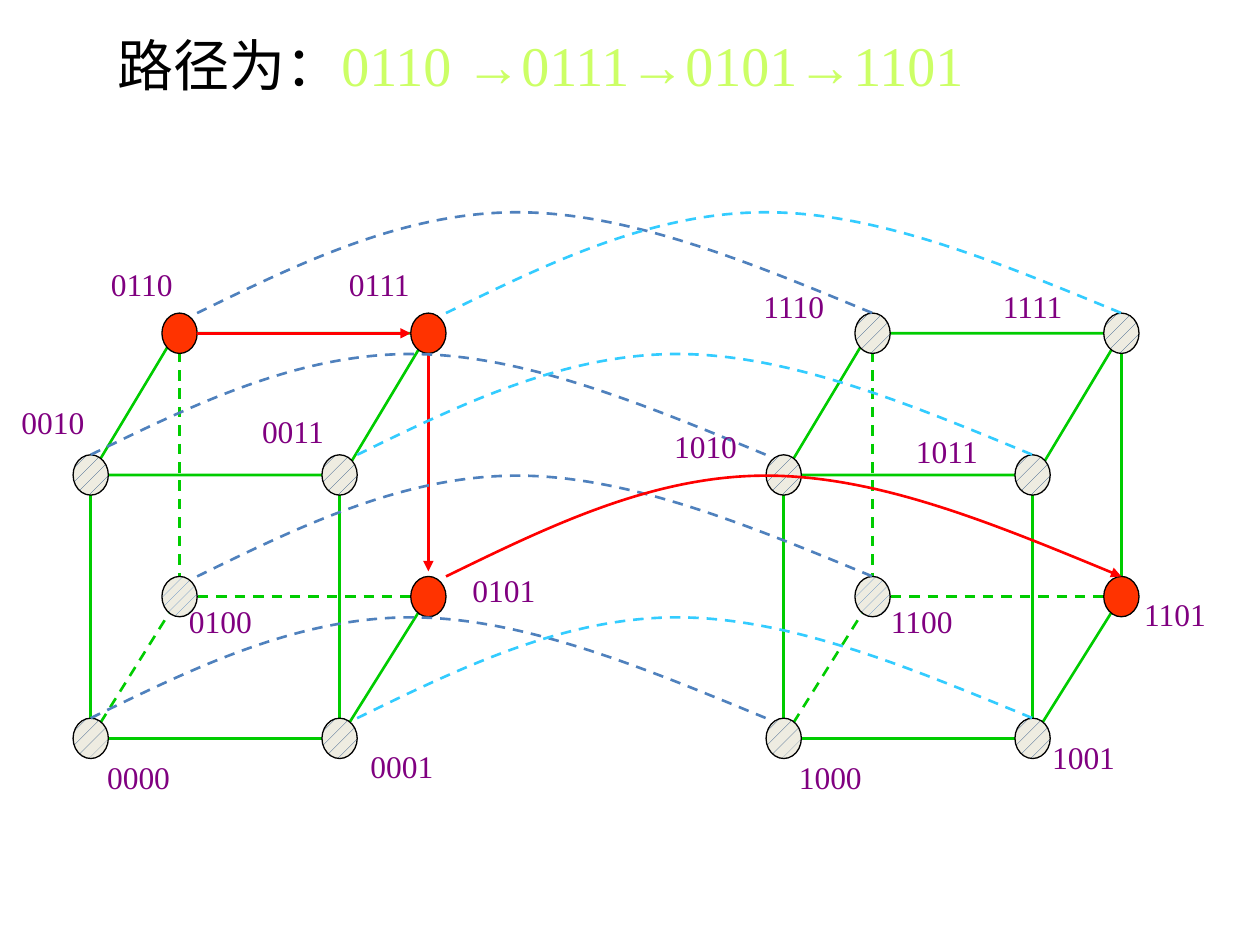
from itertools import product

from lxml import etree
from pptx import Presentation
from pptx import util as u
from pptx.dml.color import RGBColor
from pptx.enum import dml, shapes, text
from pptx.oxml.ns import qn

COLORS = {
    "title": "000000", "route_text": "CCFF66", "label": "800080",
    "edge": "00CC00", "route": "FF0000", "route_node": "FF3300",
    "outline": "000000", "node_back": "EEECE1", "hatch": "1F497D",
    "light_hatch": "4F81BD", "arc_left": "4F81BD", "arc_right": "33CCFF",
}
COLUMNS, ROWS = 100, 75
NODE_W, NODE_H = 2.8, 3.2
CUBE_SHIFT = 55
ROUTE = ["0110", "0111", "0101", "1101"]
ARC = [(8.2, -4), (16.4, -8), (25.4, -8), (34.3, -8), (43.9, -4), (53.6, 0)]
CODES = ["".join(bits) for bits in product("01", repeat=4)]
SOLID_EDGES = [("000", "010"), ("001", "011"), ("000", "001"),
               ("111", "101"), ("001", "101")]
HIDDEN_EDGES = [("110", "100"), ("000", "100"), ("100", "101")]
LABELS = {
    "0110": (8.8, 21), "0010": (1.7, 32), "0000": (8.5, 60.2), "0100": (15, 47.8),
    "0111": (27.7, 21), "0001": (29.4, 59.3), "0011": (20.8, 32.7), "0101": (37.5, 45.3),
    "1110": (60.6, 22.8), "1010": (53.5, 33.9), "1000": (63.4, 60.2), "1100": (70.7, 47.8),
    "1111": (79.6, 22.8), "1001": (83.5, 58.6), "1011": (72.7, 34.3), "1101": (90.8, 47.2),
}


def rgb(name):
    return RGBColor.from_string(COLORS[name])


def node_center(code):
    """Grid position of a hypercube vertex, one offset per bit."""
    cube, back, top, right = map(int, code)
    return (7.2 + CUBE_SHIFT * cube + 7.05 * back + 19.75 * right,
            58.6 - 11.25 * back - 20.9 * top)


def add_run(paragraph, content, size=18, color="label", font="Times New Roman"):
    run = paragraph.add_run()
    run.text = content
    run.font.size = u.Pt(size)
    run.font.name = font
    run.font.color.rgb = rgb(color)


class HypercubeSlide:
    def __init__(self, deck):
        self.slide = deck.slides.add_slide(deck.slide_layouts[5])
        self.col = deck.slide_width / COLUMNS
        self.row = deck.slide_height / ROWS

    def at(self, column, row):
        return round(column * self.col), round(row * self.row)

    def box(self, left, top, width, height):
        return *self.at(left, top), *self.at(width, height)

    def style_line(self, item, color, width=1.5, dashed=False, arrow=False):
        item.line.color.rgb = rgb(color)
        item.line.width = u.Pt(width)
        if dashed:
            item.line.dash_style = dml.MSO_LINE.DASH
        if arrow:
            etree.SubElement(item.line._get_or_add_ln(), qn("a:tailEnd"), type="triangle")

    def title(self, heading, route):
        holder = self.slide.shapes.title
        holder.left, holder.top, holder.width, holder.height = self.box(3.3, 1.7, 93.3, 6.7)
        frame = holder.text_frame
        frame.auto_size = text.MSO_AUTO_SIZE.NONE
        frame.vertical_anchor = text.MSO_ANCHOR.MIDDLE
        paragraph = frame.paragraphs[0]
        paragraph.alignment = text.PP_ALIGN.LEFT
        properties = paragraph._p.get_or_add_pPr()
        properties.set("marL", str(u.Inches(0.81)))
        properties.set("indent", str(u.Inches(-0.31)))
        add_run(paragraph, heading, size=32, color="title")
        add_run(paragraph, route, size=32, color="route_text")

    def edge(self, start, end, color="edge", **style):
        line = self.slide.shapes.add_connector(
            shapes.MSO_CONNECTOR.STRAIGHT, *self.at(*start), *self.at(*end))
        self.style_line(line, color, **style)
        etree.SubElement(line._element.spPr, qn("a:effectLst"))

    def top_face(self, cube):
        left, bottom = node_center(cube + "010")
        right, top = node_center(cube + "111")
        face = self.slide.shapes.add_shape(
            shapes.MSO_SHAPE.PARALLELOGRAM, *self.box(left, top, right - left, bottom - top))
        face.adjustments[0] = 0.6
        face.shadow.inherit = False
        face.fill.background()
        self.style_line(face, "edge")

    def node(self, code):
        x, y = node_center(code)
        node = self.slide.shapes.add_shape(
            shapes.MSO_SHAPE.OVAL, *self.box(x - NODE_W / 2, y - NODE_H / 2, NODE_W, NODE_H))
        node.shadow.inherit = False
        self.style_line(node, "outline", 0.75)
        if code in ROUTE:
            node.fill.solid()
            node.fill.fore_color.rgb = rgb("route_node")
            return
        light = code.endswith("100")
        node.fill.patterned()
        node.fill.pattern = (dml.MSO_PATTERN.PERCENT_20 if light
                             else dml.MSO_PATTERN.PERCENT_10)
        node.fill.fore_color.rgb = rgb("light_hatch" if light else "hatch")
        node.fill.back_color.rgb = rgb("node_back")

    def arc(self, code):
        """Curve from a vertex of the left cube to its twin in the right cube."""
        x, y = node_center(code)
        x += 0 if code in ("0000", "0010") else NODE_W / 2
        y -= NODE_H / 2
        builder = self.slide.shapes.build_freeform(*self.at(x, y))
        builder.add_line_segments([self.at(x + dx, y + dy) for dx, dy in ARC], close=False)
        curve = builder.convert_to_shape()
        segments = curve._element.xpath(".//a:lnTo")
        outline = segments[0].getparent()
        for first in range(0, len(segments), 3):
            bezier = etree.SubElement(outline, qn("a:cubicBezTo"))
            for segment in segments[first:first + 3]:
                bezier.append(segment[0])
                outline.remove(segment)
        curve.shadow.inherit = False
        curve.fill.background()
        if code == "0101":
            self.style_line(curve, "route", arrow=True)
        else:
            color = "arc_right" if code.endswith("1") else "arc_left"
            self.style_line(curve, color, dashed=True)

    def label(self, code):
        frame = self.slide.shapes.add_textbox(*self.box(*LABELS[code], 7.3, 4)).text_frame
        frame.word_wrap = True
        frame.margin_left = frame.margin_right = frame.margin_top = frame.margin_bottom = 0
        add_run(frame.paragraphs[0], code)

    def cube(self, cube):
        self.top_face(cube)
        for start, end in SOLID_EDGES:
            start, end = cube + start, cube + end
            x, y = node_center(end)
            if start in ROUTE and end in ROUTE:
                self.edge(node_center(start), (x, y - 2), "route", arrow=True)
            else:
                self.edge(node_center(start), (x, y))
        for start, end in HIDDEN_EDGES:
            self.edge(node_center(cube + start), node_center(cube + end), dashed=True)
        for code in CODES:
            if code[0] == cube:
                self.node(code)


def main():
    deck = Presentation()
    deck.slide_width, deck.slide_height = u.Inches(10), u.Inches(7.5)
    page = HypercubeSlide(deck)
    page.title("路径为：", "0110 →0111→0101→1101")
    for cube in "01":
        page.cube(cube)
    for code in CODES[:8]:
        page.arc(code)
    for code in LABELS:
        page.label(code)
    (start_x, y), (end_x, _) = node_center(ROUTE[0]), node_center(ROUTE[1])
    page.edge((start_x + NODE_W / 2, y), (end_x - NODE_W / 2, y), "route", arrow=True)
    deck.save("out.pptx")


if __name__ == "__main__":
    main()
